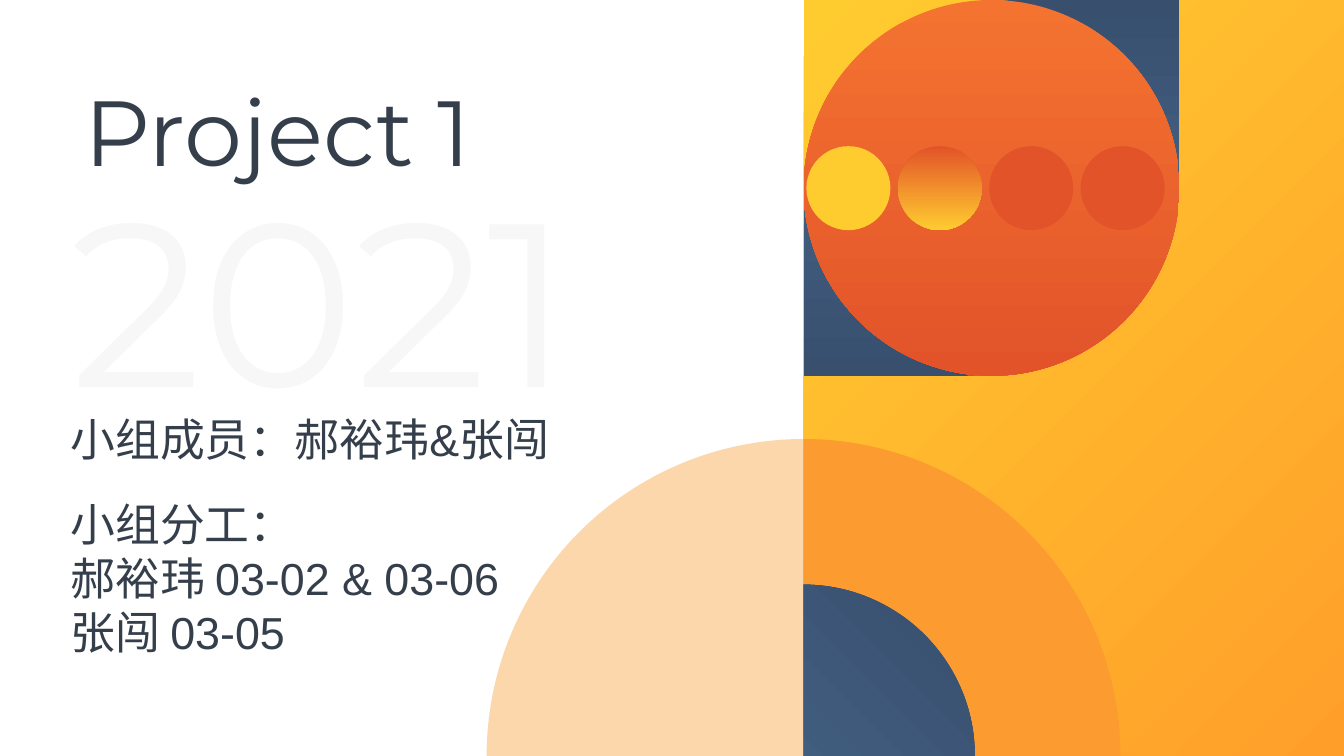
from dataclasses import dataclass

from lxml.etree import SubElement
from pptx import Presentation
from pptx.dml.color import RGBColor
from pptx.enum.shapes import MSO_SHAPE
from pptx.enum.text import MSO_ANCHOR, MSO_AUTO_SIZE, PP_ALIGN
from pptx.oxml.ns import qn
from pptx.util import Pt


@dataclass(frozen=True)
class Theme:
    ink: str = "353F4B"
    yellow: str = "FFCC30"
    amber: str = "FF9F2A"
    orange: str = "FC9B30"
    coral: str = "F47331"
    red: str = "E25329"
    navy: str = "384F6E"
    steel: str = "4A6C90"
    display_font: str = "Montserrat"
    text_font: str = "Arial"
    year_size: float = 166
    title_size: float = 66
    text_size: float = 32


@dataclass(frozen=True)
class Area:
    left: float
    top: float
    width: float
    height: float


@dataclass(frozen=True)
class Figure:
    """A preset shape; one colour is a solid fill, two are a gradient."""
    kind: MSO_SHAPE
    area: Area
    colours: tuple[str, ...]
    angle: float = 90
    rotation: float = 0
    flipped: bool = False
    opacity: float = 100


@dataclass(frozen=True)
class Caption:
    area: Area
    lines: tuple[str, ...]
    font: str
    size: float
    wraps: bool = True
    opacity: float = 100


THEME = Theme()
PAGE_WIDTH, PAGE_HEIGHT = 960, 540
PANEL_LEFT = 574
DISC_SIZE, DROP_SIZE = 268.4, 232
DOT_LEFT, DOT_TOP, DOT_SIZE, DOT_PITCH = 576, 104.4, 60, 65.3
NAVY_FADE = (THEME.navy, THEME.steel)


def square(left: float, top: float, size: float) -> Area:
    return Area(left, top, size, size)


def quarter(radius: float, colours: tuple[str, ...], flipped: bool = False,
            opacity: float = 100) -> Figure:
    """A quarter disc centred where the panel edge meets the page bottom."""
    area = square(PANEL_LEFT - radius, PAGE_HEIGHT - radius, 2 * radius)
    return Figure(MSO_SHAPE.PIE, area, colours, 45, flipped=flipped, opacity=opacity)


def set_opacity(element, percent: float) -> None:
    for colour in element.iter(qn("a:srgbClr")):
        SubElement(colour, qn("a:alpha")).set("val", str(int(percent * 1000)))


def draw_figure(page, figure: Figure) -> None:
    area = figure.area
    shape = page.shapes.add_shape(figure.kind, Pt(area.left), Pt(area.top),
                                  Pt(area.width), Pt(area.height))
    shape.shadow.inherit = False
    shape.line.fill.background()
    shape.rotation = figure.rotation
    if figure.kind == MSO_SHAPE.PIE:
        # Angles from 180 to 270 degrees, in the units of the preset
        shape.adjustments[0], shape.adjustments[1] = 108, 162
    if figure.flipped:
        shape._element.spPr.find(qn("a:xfrm")).set("flipH", "1")
    if len(figure.colours) == 1:
        shape.fill.solid()
        shape.fill.fore_color.rgb = RGBColor.from_string(figure.colours[0])
    else:
        shape.fill.gradient()
        shape.fill.gradient_angle = 360 - figure.angle
        for stop, colour in zip(shape.fill.gradient_stops, figure.colours):
            stop.color.rgb = RGBColor.from_string(colour)
    if figure.opacity < 100:
        set_opacity(shape._element.spPr, figure.opacity)


def write_caption(box, caption: Caption) -> None:
    area = caption.area
    box.left, box.top = Pt(area.left), Pt(area.top)
    box.width, box.height = Pt(area.width), Pt(area.height)
    frame = box.text_frame
    frame.word_wrap = caption.wraps
    frame.auto_size = MSO_AUTO_SIZE.SHAPE_TO_FIT_TEXT
    frame.vertical_anchor = MSO_ANCHOR.TOP
    for index, line in enumerate(caption.lines):
        para = frame.add_paragraph() if index else frame.paragraphs[0]
        para.alignment = PP_ALIGN.LEFT
        para.space_before = Pt(0)
        properties = para._p.get_or_add_pPr()
        properties.set("marL", "0")
        properties.set("indent", "0")
        SubElement(properties, qn("a:buNone"))
        span = para.add_run()
        span.text = line
        span.font.name = caption.font
        span.font.size = Pt(caption.size)
        span.font.color.rgb = RGBColor.from_string(THEME.ink)
        if caption.opacity < 100:
            set_opacity(span._r, caption.opacity)


YEAR = Caption(Area(43.2, 107.3, 461.5, 208), ("2021",),
               THEME.display_font, THEME.year_size, wraps=False, opacity=4)
PLACEHOLDER_CAPTIONS = (
    Caption(Area(53.3, 49.7, 344.9, 87.1), ("Project 1",),
            THEME.display_font, THEME.title_size, wraps=False),
    Caption(Area(43.2, 290.2, 391.7, 46), ("小组成员：郝裕玮&张闯",),
            THEME.text_font, THEME.text_size),
    Caption(Area(43.2, 351.4, 391.7, 123.8),
            ("小组分工：", "郝裕玮 03-02 & 03-06", "张闯 03-05"),
            THEME.text_font, THEME.text_size),
)

DOT_COLOURS = ((THEME.yellow,), (THEME.red, THEME.yellow), (THEME.red,), (THEME.red,))
DROP_SHIFT = DISC_SIZE - DROP_SIZE
FIGURES = (
    Figure(MSO_SHAPE.RECTANGLE, Area(PANEL_LEFT, 0, PAGE_WIDTH - PANEL_LEFT, PAGE_HEIGHT),
           (THEME.yellow, THEME.amber), 45),
    quarter(226.4, (THEME.orange,), flipped=True),
    quarter(122.4, NAVY_FADE, flipped=True),
    Figure(MSO_SHAPE.TEAR, square(PANEL_LEFT + DROP_SHIFT, 0, DROP_SIZE), NAVY_FADE),
    Figure(MSO_SHAPE.TEAR, square(PANEL_LEFT, DROP_SHIFT, DROP_SIZE), NAVY_FADE, rotation=180),
    Figure(MSO_SHAPE.OVAL, square(PANEL_LEFT, 0, DISC_SIZE), (THEME.coral, THEME.red)),
    quarter(226.4, (THEME.orange,), opacity=40),
    *(Figure(MSO_SHAPE.OVAL, square(DOT_LEFT + index * DOT_PITCH, DOT_TOP, DOT_SIZE), colours)
      for index, colours in enumerate(DOT_COLOURS)),
)


def main() -> None:
    deck = Presentation()
    deck.slide_width, deck.slide_height = Pt(PAGE_WIDTH), Pt(PAGE_HEIGHT)
    two_content = deck.slide_layouts[3]
    page = deck.slides.add_slide(two_content)
    placeholders = list(page.placeholders)

    write_caption(page.shapes.add_textbox(0, 0, 0, 0), YEAR)
    for figure in FIGURES:
        draw_figure(page, figure)
    for box, caption in zip(placeholders, PLACEHOLDER_CAPTIONS):
        write_caption(box, caption)
        page.shapes._spTree.append(box._element)  # bring to front
    deck.save("out.pptx")


if __name__ == "__main__":
    main()
